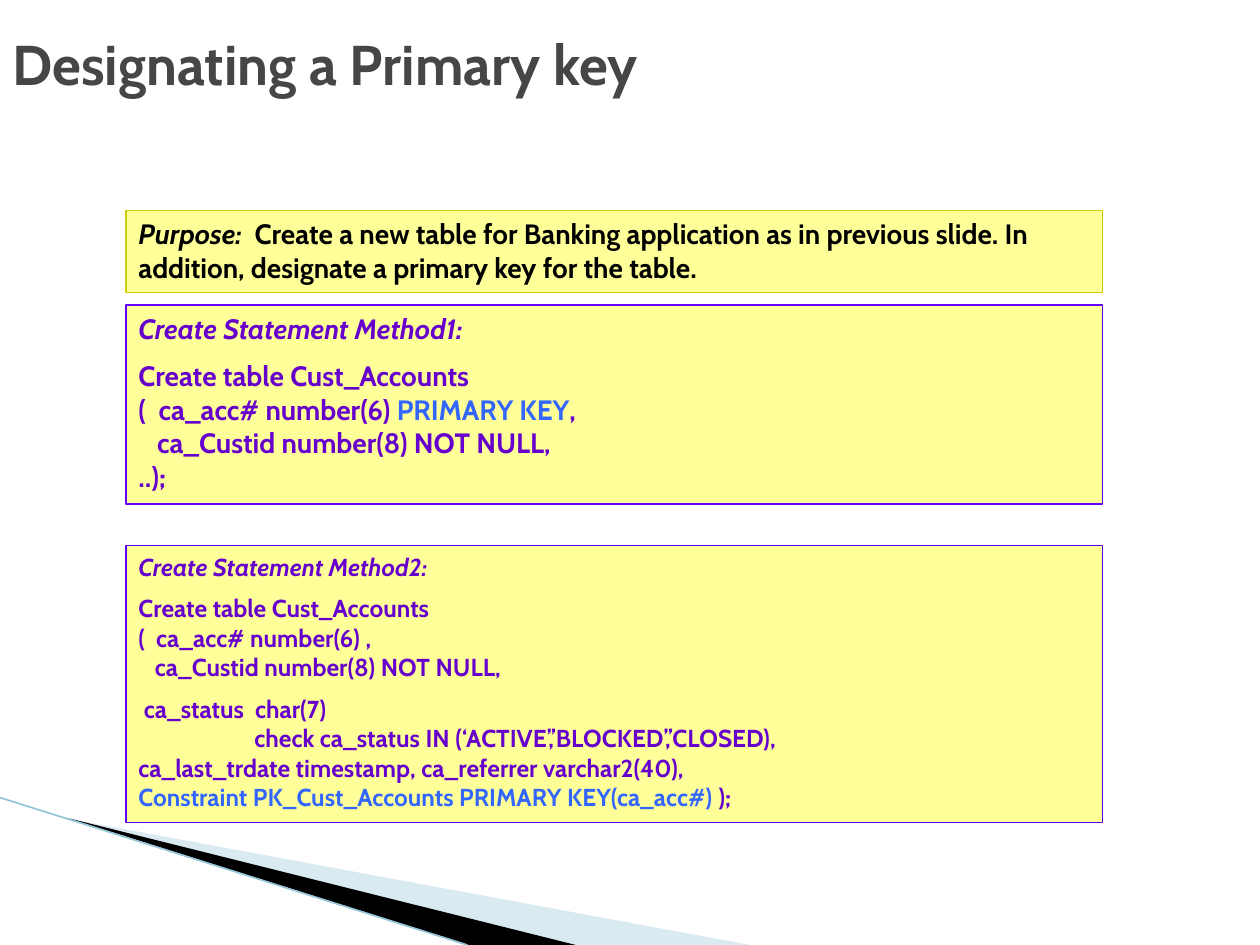
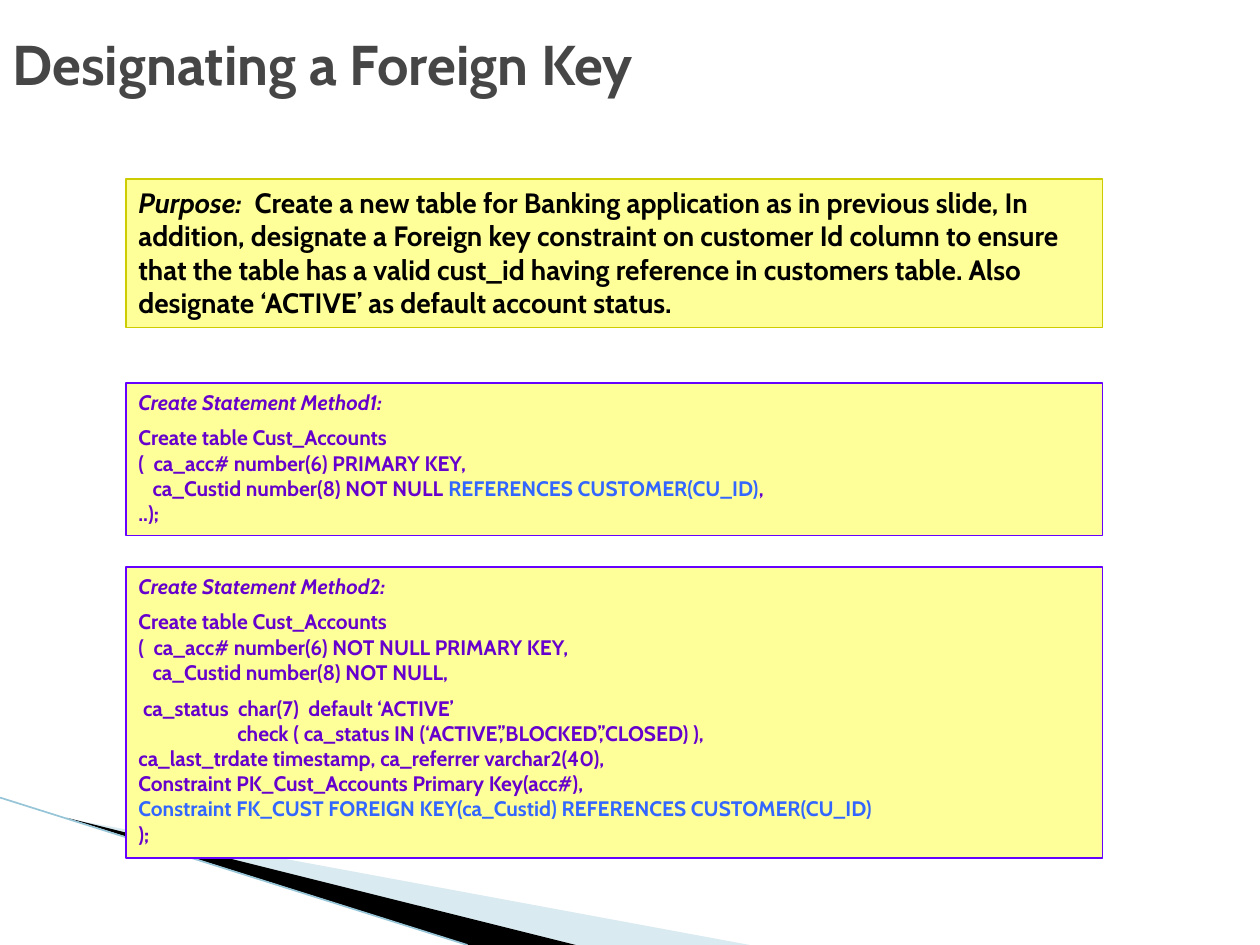
from dataclasses import dataclass

from lxml.etree import SubElement
from pptx import Presentation
from pptx.dml.color import RGBColor
from pptx.enum.shapes import MSO_CONNECTOR, MSO_SHAPE
from pptx.enum.text import MSO_ANCHOR, MSO_AUTO_SIZE, PP_ALIGN
from pptx.oxml.ns import qn
from pptx.util import Inches, Pt


@dataclass(frozen=True)
class Theme:
    font: str = "Cabin"
    title: str = "464646"
    panel: str = "FFFF99"
    purpose: str = "000000"
    purpose_border: str = "CCCC00"
    code: str = "6600CC"
    code_border: str = "6600FF"
    highlight: str = "3366FF"
    pale_band: str = "A0CBDC"
    dark_band: str = "000000"
    band_edge: str = "97C5D8"
    title_size: int = 32
    purpose_size: int = 16
    border_width: float = 0.75
    edge_width: float = 0.95


THEME = Theme()
COLUMNS, ROWS = 40, 30
PANEL_LEFT, PANEL_WIDTH = 4, 31


def add_text(paragraph, text, *, size, color, bold=True, italic=False):
    """Append text in one format, turning each newline into a line break."""
    for index, line in enumerate(text.split("\n")):
        if index:
            paragraph.add_line_break()
        if line:
            run = paragraph.add_run()
            run.text = line
            run.font.name = THEME.font
            run.font.size = Pt(size)
            run.font.bold = bold
            run.font.italic = italic
            run.font.color.rgb = RGBColor.from_string(color)


class SlideBuilder:
    """Places elements on the current slide in grid columns and rows."""

    def __init__(self, presentation, theme):
        self.presentation = presentation
        self.theme = theme
        self.column = presentation.slide_width / COLUMNS
        self.row = presentation.slide_height / ROWS
        self.slide = None

    def new_slide(self, title):
        self.slide = self.presentation.slides.add_slide(self.presentation.slide_layouts[6])
        self.corner_bands()
        self.title(title)

    def place(self, left, top, width, height):
        return (round(left * self.column), round(top * self.row),
                round(width * self.column), round(height * self.row))

    def band(self, points, color, opacity=100):
        corners = [self.place(x, y, 0, 0)[:2] for x, y in points]
        builder = self.slide.shapes.build_freeform(*corners[0])
        builder.add_line_segments(corners[1:], close=True)
        shape = builder.convert_to_shape()
        shape.shadow.inherit = False
        shape.line.fill.background()
        shape.fill.solid()
        shape.fill.fore_color.rgb = RGBColor.from_string(color)
        if opacity < 100:
            color_element = shape._element.spPr.find(".//" + qn("a:srgbClr"))
            SubElement(color_element, qn("a:alpha"), val=str(opacity * 1000))

    def edge(self, start, end):
        connector = self.slide.shapes.add_connector(
            MSO_CONNECTOR.STRAIGHT, *self.place(*start, *end))
        connector.line.color.rgb = RGBColor.from_string(self.theme.band_edge)
        connector.line.width = Pt(self.theme.edge_width)
        SubElement(connector._element.spPr, qn("a:effectLst"))

    def corner_bands(self):
        self.band([(2.2, 26), (23.8, ROWS), (18.24, ROWS)], self.theme.pale_band, opacity=40)
        self.band([(2.12, 25.96), (18.28, ROWS), (14.88, ROWS)], self.theme.dark_band)
        self.edge((0, 25.32), (14.84, ROWS))

    def title(self, text):
        frame = self.slide.shapes.add_textbox(*self.place(0, 0, 33, 4)).text_frame
        frame.word_wrap = True
        frame.vertical_anchor = MSO_ANCHOR.MIDDLE
        add_text(frame.paragraphs[0], text, size=self.theme.title_size, color=self.theme.title)

    def panel(self, top, height, border):
        """Draw a bordered panel and return its empty text frame."""
        shape = self.slide.shapes.add_shape(
            MSO_SHAPE.RECTANGLE, *self.place(PANEL_LEFT, top, PANEL_WIDTH, height))
        shape.shadow.inherit = False
        shape.fill.solid()
        shape.fill.fore_color.rgb = RGBColor.from_string(self.theme.panel)
        shape.line.color.rgb = RGBColor.from_string(border)
        shape.line.width = Pt(self.theme.border_width)
        frame = shape.text_frame
        frame.word_wrap = True
        frame.auto_size = MSO_AUTO_SIZE.SHAPE_TO_FIT_TEXT
        frame.vertical_anchor = MSO_ANCHOR.TOP
        frame.paragraphs[0].alignment = PP_ALIGN.LEFT
        return frame

    def purpose(self, text, top, height):
        paragraph = self.panel(top, height, self.theme.purpose_border).paragraphs[0]
        style = {"size": self.theme.purpose_size, "color": self.theme.purpose}
        add_text(paragraph, "Purpose:  ", italic=True, **style)
        add_text(paragraph, text, **style)

    def statement(self, number, blocks, top, height, size):
        """Show code blocks; every second piece of a block is highlighted."""
        frame = self.panel(top, height, self.theme.code_border)
        add_text(frame.paragraphs[0], f"Create Statement Method{number}:",
                 size=size, color=self.theme.code, italic=True)
        for block in blocks:
            paragraph = frame.add_paragraph()
            paragraph.alignment = PP_ALIGN.LEFT
            paragraph.space_before = Pt(size / 2)
            for index, piece in enumerate(block):
                color = self.theme.highlight if index % 2 else self.theme.code
                add_text(paragraph, piece, size=size, color=color)


def primary_key_slide(builder):
    builder.new_slide("Designating a Primary key")
    builder.purpose(
        "Create a new table for Banking application as in previous slide. In addition, "
        "designate a primary key for the table.", top=6.68, height=2.6)
    builder.statement(1, [
        ["Create table Cust_Accounts\n(  ca_acc# number(6) ", "PRIMARY KEY",
         ",\n   ca_Custid number(8) NOT NULL,\n..);"],
    ], top=9.68, height=6.32, size=16)
    builder.statement(2, [
        ["Create table Cust_Accounts\n(  ca_acc# number(6) ,\n"
         "   ca_Custid number(8) NOT NULL,"],
        [" ca_status  char(7)\n"
         "                     check ca_status IN (‘ACTIVE’,’BLOCKED’,’CLOSED),\n"
         "ca_last_trdate timestamp, ca_referrer varchar2(40),\n",
         "Constraint PK_Cust_Accounts PRIMARY KEY(ca_acc#) ", ");"],
    ], top=17.32, height=8.8, size=14)


def foreign_key_slide(builder):
    builder.new_slide("Designating a Foreign Key")
    builder.purpose(
        "Create a new table for Banking application as in previous slide, In addition, "
        "designate a Foreign key constraint on customer Id column to ensure that the table "
        "has a valid cust_id having reference in customers table. Also designate ‘ACTIVE’ "
        "as default account status.", top=5.68, height=4.72)
    builder.statement(1, [
        ["Create table Cust_Accounts\n(  ca_acc# number(6) PRIMARY KEY,\n"
         "   ca_Custid number(8) NOT NULL ", "REFERENCES CUSTOMER(CU_ID)", ",\n..);"],
    ], top=12.16, height=4.84, size=12)
    builder.statement(2, [
        ["Create table Cust_Accounts\n(  ca_acc# number(6) NOT NULL PRIMARY KEY,\n"
         "   ca_Custid number(8) NOT NULL,"],
        [" ca_status  char(7)  default ‘ACTIVE’\n"
         "                     check ( ca_status IN (‘ACTIVE’,’BLOCKED’,’CLOSED) ),\n"
         "ca_last_trdate timestamp, ca_referrer varchar2(40),\n"
         "Constraint PK_Cust_Accounts Primary Key(acc#),\n",
         "Constraint FK_CUST FOREIGN KEY(ca_Custid) REFERENCES CUSTOMER(CU_ID)\n", ");"],
    ], top=18, height=9.24, size=12)


def main():
    presentation = Presentation()
    presentation.slide_width = Inches(10)
    presentation.slide_height = Inches(7.5)
    builder = SlideBuilder(presentation, THEME)
    primary_key_slide(builder)
    foreign_key_slide(builder)
    presentation.save("out.pptx")


if __name__ == "__main__":
    main()
